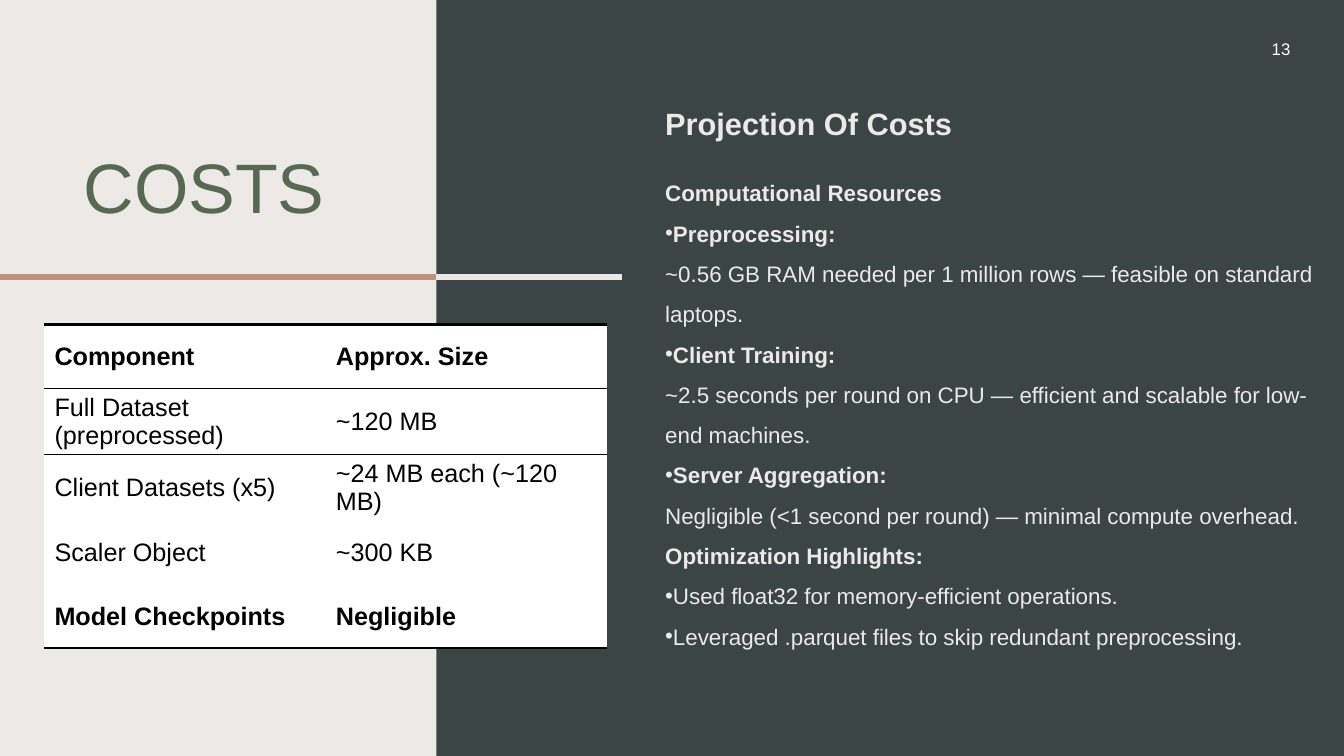
from dataclasses import dataclass

import pptx
import pptx.dml.color
import pptx.enum.shapes
import pptx.enum.text
import pptx.oxml.ns
import pptx.util
from lxml import etree
from pptx.dml.color import RGBColor
from pptx.util import Cm

CREAM = RGBColor(0xED, 0xE9, 0xE6)
SLATE = RGBColor(0x3B, 0x45, 0x46)
CLAY = RGBColor(0xBE, 0x93, 0x7E)
MOSS = RGBColor(0x57, 0x68, 0x53)
WHITE = RGBColor(0xFF, 0xFF, 0xFF)
BLACK = RGBColor(0x00, 0x00, 0x00)
PANEL_LEFT = 11
RULE_TOP = 6.98
ROW_HEIGHT = 1.6


@dataclass
class Area:
    left: float
    top: float
    width: float
    height: float

    def lengths(self) -> tuple:
        return Cm(self.left), Cm(self.top), Cm(self.width), Cm(self.height)


@dataclass
class Style:
    size: float
    color: RGBColor
    bold: bool = False


@dataclass
class Item:
    label: str = ""
    detail: str = ""
    bullet: bool = True


@dataclass
class Rule:
    start: float
    end: float
    color: RGBColor


RULES = [Rule(0, PANEL_LEFT, CLAY), Rule(PANEL_LEFT, 15.67, CREAM)]

ITEMS = [
    Item("Computational Resources", bullet=False),
    Item("Preprocessing:", "~0.56 GB RAM needed per 1 million rows — feasible on standard laptops."),
    Item("Client Training:", "~2.5 seconds per round on CPU — efficient and scalable for low-end machines."),
    Item("Server Aggregation:", "Negligible (<1 second per round) — minimal compute overhead."),
    Item("Optimization Highlights:", bullet=False),
    Item(detail="Used float32 for memory-efficient operations."),
    Item(detail="Leveraged .parquet files to skip redundant preprocessing."),
]

SIZES = [
    ("Component", "Approx. Size"),
    ("Full Dataset (preprocessed)", "~120 MB"),
    ("Client Datasets (x5)", "~24 MB each (~120 MB)"),
    ("Scaler Object", "~300 KB"),
    ("Model Checkpoints", "Negligible"),
]
LINE_WIDTHS = [2, 1, 1, 0, 0, 2]


def add_element(parent, tag: str, **attributes: str):
    return etree.SubElement(parent, pptx.oxml.ns.qn(tag), attributes)


def add_span(para, text: str, style: Style) -> None:
    span = para.add_run()
    span.text = text
    span.font.name = "Arial"
    span.font.size = pptx.util.Pt(style.size)
    span.font.bold = style.bold
    span.font.color.rgb = style.color


def format_paragraph(para, spacing: float, bullet: bool = False) -> None:
    para.alignment = pptx.enum.text.PP_ALIGN.LEFT
    para.line_spacing = spacing
    para.space_before = pptx.util.Pt(0)
    properties = para._p.get_or_add_pPr()
    properties.set("marL", "0")
    properties.set("indent", "0")
    if bullet:
        add_element(properties, "a:buFont", typeface="Arial")
        add_element(properties, "a:buChar", char="•")
    else:
        add_element(properties, "a:buNone")


def place(box, area: Area):
    box.left, box.top, box.width, box.height = area.lengths()
    frame = box.text_frame
    frame.word_wrap = True
    frame.auto_size = pptx.enum.text.MSO_AUTO_SIZE.NONE
    frame.vertical_anchor = pptx.enum.text.MSO_ANCHOR.TOP
    return frame


def add_rule(page, rule: Rule) -> None:
    line = page.shapes.add_connector(
        pptx.enum.shapes.MSO_CONNECTOR.STRAIGHT,
        Cm(rule.start), Cm(RULE_TOP), Cm(rule.end), Cm(RULE_TOP))
    line.line.color.rgb = rule.color
    line.line.width = pptx.util.Pt(4.5)
    add_element(line._element.spPr, "a:effectLst")


def add_background(page) -> None:
    page.background.fill.solid()
    page.background.fill.fore_color.rgb = CREAM
    panel = page.shapes.add_shape(
        pptx.enum.shapes.MSO_SHAPE.RECTANGLE, *Area(PANEL_LEFT, 0, 22.87, 19.05).lengths())
    panel.shadow.inherit = False
    panel.fill.solid()
    panel.fill.fore_color.rgb = SLATE
    panel.line.fill.background()
    page.shapes._spTree.insert(2, panel._element)
    for rule in RULES:
        add_rule(page, rule)


def fill_list(frame) -> None:
    for index, item in enumerate(ITEMS):
        para = frame.add_paragraph() if index else frame.paragraphs[0]
        format_paragraph(para, 1.5, item.bullet)
        if item.label:
            add_span(para, item.label, Style(16, CREAM, True))
        if item.label and item.detail:
            para.add_line_break()
        if item.detail:
            add_span(para, item.detail, Style(16, CREAM))


def set_borders(cell, top: int, bottom: int) -> None:
    properties = cell._tc.get_or_add_tcPr()
    sides = {"a:lnL": 0, "a:lnR": 0, "a:lnT": top, "a:lnB": bottom}
    for tag, width in sides.items():
        border = add_element(properties, tag, w=str(pptx.util.Pt(width)))
        if width:
            add_element(add_element(border, "a:solidFill"), "a:srgbClr", val=str(BLACK))
        else:
            add_element(border, "a:noFill")


def add_size_table(page) -> None:
    area = Area(1.12, 8.18, 14.18, ROW_HEIGHT * len(SIZES))
    table = page.shapes.add_table(len(SIZES), 2, *area.lengths()).table
    for row, texts in enumerate(SIZES):
        table.rows[row].height = Cm(ROW_HEIGHT)
        for column, text in enumerate(texts):
            cell = table.cell(row, column)
            cell.vertical_anchor = pptx.enum.text.MSO_ANCHOR.MIDDLE
            set_borders(cell, LINE_WIDTHS[row], LINE_WIDTHS[row + 1])
            cell.fill.solid()
            cell.fill.fore_color.rgb = WHITE
            bold = row in (0, len(SIZES) - 1)
            add_span(cell.text_frame.paragraphs[0], text, Style(18, BLACK, bold))


def main() -> None:
    """Build the costs slide and save it."""
    deck = pptx.Presentation()
    deck.slide_width, deck.slide_height = Cm(33.87), Cm(19.05)
    page = deck.slides.add_slide(deck.slide_layouts.get_by_name("Comparison"))
    add_background(page)
    title, heading, details, *unused = page.placeholders
    for holder in unused:
        holder._element.getparent().remove(holder._element)

    para = place(title, Area(1.85, 3.89, 13.46, 4.67)).paragraphs[0]
    format_paragraph(para, 0.8)
    add_span(para, "COSTS", Style(50, MOSS))
    para = place(heading, Area(16.51, 2.51, 13.41, 1.37)).paragraphs[0]
    format_paragraph(para, 1)
    add_span(para, "Projection Of Costs", Style(22, CREAM, True))
    fill_list(place(details, Area(16.51, 4.06, 16.89, 12.45)))

    number = page.shapes.add_textbox(0, 0, 0, 0)
    frame = place(number, Area(28.12, 0.84, 4.65, 0.76))
    frame.vertical_anchor = pptx.enum.text.MSO_ANCHOR.MIDDLE
    frame.paragraphs[0].alignment = pptx.enum.text.PP_ALIGN.RIGHT
    add_span(frame.paragraphs[0], "13", Style(12, WHITE))
    add_size_table(page)
    deck.save("out.pptx")


if __name__ == "__main__":
    main()
